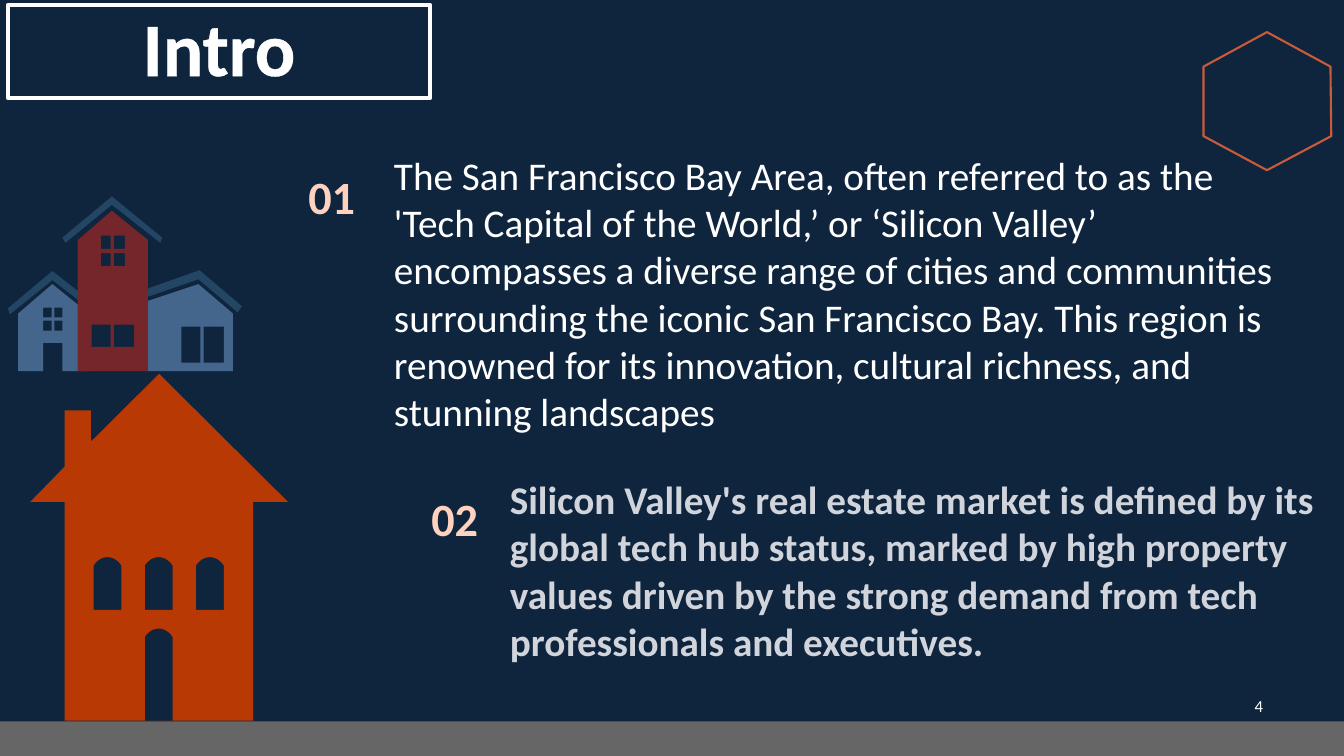
from dataclasses import dataclass
from itertools import product

import pptx
import pptx.dml.color
import pptx.enum.shapes
import pptx.enum.text
import pptx.util
from lxml import etree
from pptx.util import Cm


@dataclass(frozen=True)
class Theme:
    font: str = "Calibri"
    night: str = "0F253E"
    white: str = "FFFFFF"
    number: str = "FED2BF"
    silver: str = "D1D5DB"
    ground: str = "666666"
    big_house: str = "B83903"
    side_house: str = "44668D"
    roof: str = "224663"
    tower: str = "75262A"
    hexagon: str = "C95B3A"
    title_size: float = 54
    number_size: float = 33
    body_size: float = 28
    page_size: float = 12


THEME = Theme()
MAIN_NS = "http://schemas.openxmlformats.org/drawingml/2006/main"
INTRO = (
    "The San Francisco Bay Area, often referred to as the 'Tech Capital of the World,’ "
    "or ‘Silicon Valley’ encompasses a diverse range of cities and communities surrounding "
    "the iconic San Francisco Bay. This region is renowned for its innovation, cultural "
    "richness, and stunning landscapes"
)
MARKET = (
    "Silicon Valley's real estate market is defined by its global tech hub status, marked by "
    "high property values driven by the strong demand from tech professionals and executives."
)


def rgb(color):
    return pptx.dml.color.RGBColor.from_string(color)


def paint(shape, fill=None, line=None, width=0):
    shape.shadow.inherit = False
    if fill:
        shape.fill.solid()
        shape.fill.fore_color.rgb = rgb(fill)
    else:
        shape.fill.background()
    if line:
        shape.line.color.rgb = rgb(line)
        shape.line.width = pptx.util.Pt(width)
    else:
        shape.line.fill.background()


def add_outline(shapes, contours, **style):
    """Draw closed contours, given in cm, as one shape; inner contours become holes."""
    first, *holes = [[(Cm(x), Cm(y)) for x, y in contour] for contour in contours]
    builder = shapes.build_freeform(*first[0], scale=1.0)
    builder.add_line_segments(first[1:], close=True)
    for hole in holes:
        builder.move_to(*hole[0])
        builder.add_line_segments(hole[1:], close=True)
    paint(builder.convert_to_shape(), **style)


def panes(columns, rows):
    """Rectangular holes wherever a column span crosses a row span."""
    return [
        [(left, top), (left, bottom), (right, bottom), (right, top)]
        for (top, bottom), (left, right) in product(rows, columns)
    ]


def arch(left, spring, bottom, width=0.7, rise=0.28, steps=12):
    """Opening with a curved top that starts at the height called spring."""
    contour = [(left + width, bottom), (left, bottom)]
    for step in range(steps + 1):
        t = step / steps
        swell = 3 * t * (1 - t)
        across = swell * ((1 - t) * 0.25 + t * 0.75) + t ** 3
        contour.append((left + width * across, spring - rise * swell))
    return contour


def set_text(shape, text, size, color, bold=False, centred=True, margin=0.25):
    frame = shape.text_frame
    frame.word_wrap = True
    frame.vertical_anchor = pptx.enum.text.MSO_ANCHOR.MIDDLE
    frame.margin_left = frame.margin_right = Cm(margin)
    frame.margin_top = frame.margin_bottom = Cm(margin)
    frame.text = text
    paragraph = frame.paragraphs[0]
    align = pptx.enum.text.PP_ALIGN
    paragraph.alignment = align.CENTER if centred else align.LEFT
    font = paragraph.runs[0].font
    font.name = THEME.font
    font.size = pptx.util.Pt(size)
    font.bold = bold
    font.color.rgb = rgb(color)
    return paragraph


def add_text(slide, box, text, size, color, **style):
    set_text(slide.shapes.add_textbox(*map(Cm, box)), text, size, color, **style)


def add_block(slide, box, **style):
    block = slide.shapes.add_shape(
        pptx.enum.shapes.MSO_SHAPE.RECTANGLE, *map(Cm, box))
    paint(block, **style)
    return block


def add_title(slide):
    frame = add_block(slide, (0.2, 0.13, 10.64, 2.34), line=THEME.white, width=3.25)
    paragraph = set_text(frame, "Intro", THEME.title_size, THEME.white, bold=True, margin=0.13)
    paragraph.line_spacing = 0.9
    letter_line = etree.Element(f"{{{MAIN_NS}}}ln", w=str(pptx.util.Pt(2)))
    fill = etree.SubElement(letter_line, f"{{{MAIN_NS}}}solidFill")
    etree.SubElement(fill, f"{{{MAIN_NS}}}srgbClr", val=THEME.white)
    paragraph.runs[0].font._element.insert(0, letter_line)


def add_big_house(slide):
    walls = [
        (7.26, 12.65), (6.38, 12.65), (6.38, 18.16), (1.63, 18.16), (1.63, 12.65),
        (0.76, 12.65), (1.63, 11.76), (1.63, 10.34), (2.29, 10.34), (2.29, 11.13),
        (4.01, 9.42),
    ]
    windows = [arch(2.36 + 1.29 * i, 14.25, 15.37) for i in range(3)]
    door = arch(3.65, 16.05, 18.16)
    add_outline(slide.shapes, [walls, door, *windows], fill=THEME.big_house)


def add_small_houses(slide):
    shapes = slide.shapes.add_group_shape().shapes
    base = 9.35
    right_walls = [(5, 7.16), (3.71, 7.59), (3.71, base), (5.87, base), (5.87, 7.9)]
    right_windows = panes([(4.57, 5.05), (5.13, 5.64)], [(8.23, 9.14)])
    add_outline(shapes, [right_walls, *right_windows], fill=THEME.side_house)

    side_roofs = [
        (5.03, 6.81), (2.46, 7.72), (1.32, 6.83), (0.2, 7.77), (0.25, 7.92),
        (1.32, 7.06), (2.44, 7.92), (5, 7.04), (5.99, 7.87), (6.1, 7.72),
    ]
    add_outline(shapes, [side_roofs], fill=THEME.roof)

    left_walls = [
        (1.32, 7.16), (0.46, 7.9), (0.46, base), (1.09, base), (1.09, 8.64),
        (1.57, 8.64), (1.57, base), (2.24, base), (2.24, 7.9),
    ]
    left_windows = panes([(1.09, 1.3), (1.37, 1.57)], [(7.75, 8), (8.08, 8.33)])
    add_outline(shapes, [left_walls, *left_windows], fill=THEME.side_house)

    tower_roof = [
        (2.82, 4.95), (1.57, 5.99), (1.65, 6.12), (2.82, 5.16), (4.04, 6.12), (4.09, 5.99),
    ]
    add_outline(shapes, [tower_roof], fill=THEME.roof)

    tower = [(2.82, 5.31), (1.96, 6.05), (1.96, base), (3.73, base), (3.73, 6.05)]
    upper_windows = panes([(2.54, 2.79), (2.87, 3.15)], [(5.94, 6.27), (6.38, 6.71)])
    lower_windows = panes([(2.31, 2.79), (2.87, 3.38)], [(8.18, 8.74)])
    add_outline(shapes, [tower, *upper_windows, *lower_windows], fill=THEME.tower)


def add_hexagon(slide):
    corners = [
        (31.93, 0.81), (33.53, 1.68), (33.55, 3.43),
        (31.93, 4.29), (30.33, 3.43), (30.33, 1.68),
    ]
    add_outline(slide.shapes, [corners], line=THEME.hexagon, width=1.5)


def main():
    deck = pptx.Presentation()
    deck.slide_width, deck.slide_height = Cm(33.87), Cm(19.05)
    slide = deck.slides.add_slide(deck.slide_layouts[6])
    slide.background.fill.solid()
    slide.background.fill.fore_color.rgb = rgb(THEME.night)

    add_text(slide, (31.09, 17.27, 1.27, 1.02), "4", THEME.page_size, THEME.white)
    add_big_house(slide)
    add_block(slide, (0, 18.18, 33.87, 0.87), fill=THEME.ground)
    points = [
        ("01", (7.32, 4.14, 2.08, 1.6), INTRO, (9.68, 4.88, 23.14, 5), THEME.white, False),
        ("02", (9.68, 12.5, 3.56, 1.12), MARKET, (12.6, 11.25, 21.26, 6.22), THEME.silver, True),
    ]
    for number, number_box, text, text_box, color, bold in points:
        add_text(slide, number_box, number, THEME.number_size, THEME.number, bold=True)
        add_text(slide, text_box, text, THEME.body_size, color, bold=bold, centred=False)
    add_small_houses(slide)
    add_hexagon(slide)
    add_title(slide)
    deck.save("out.pptx")


if __name__ == "__main__":
    main()
